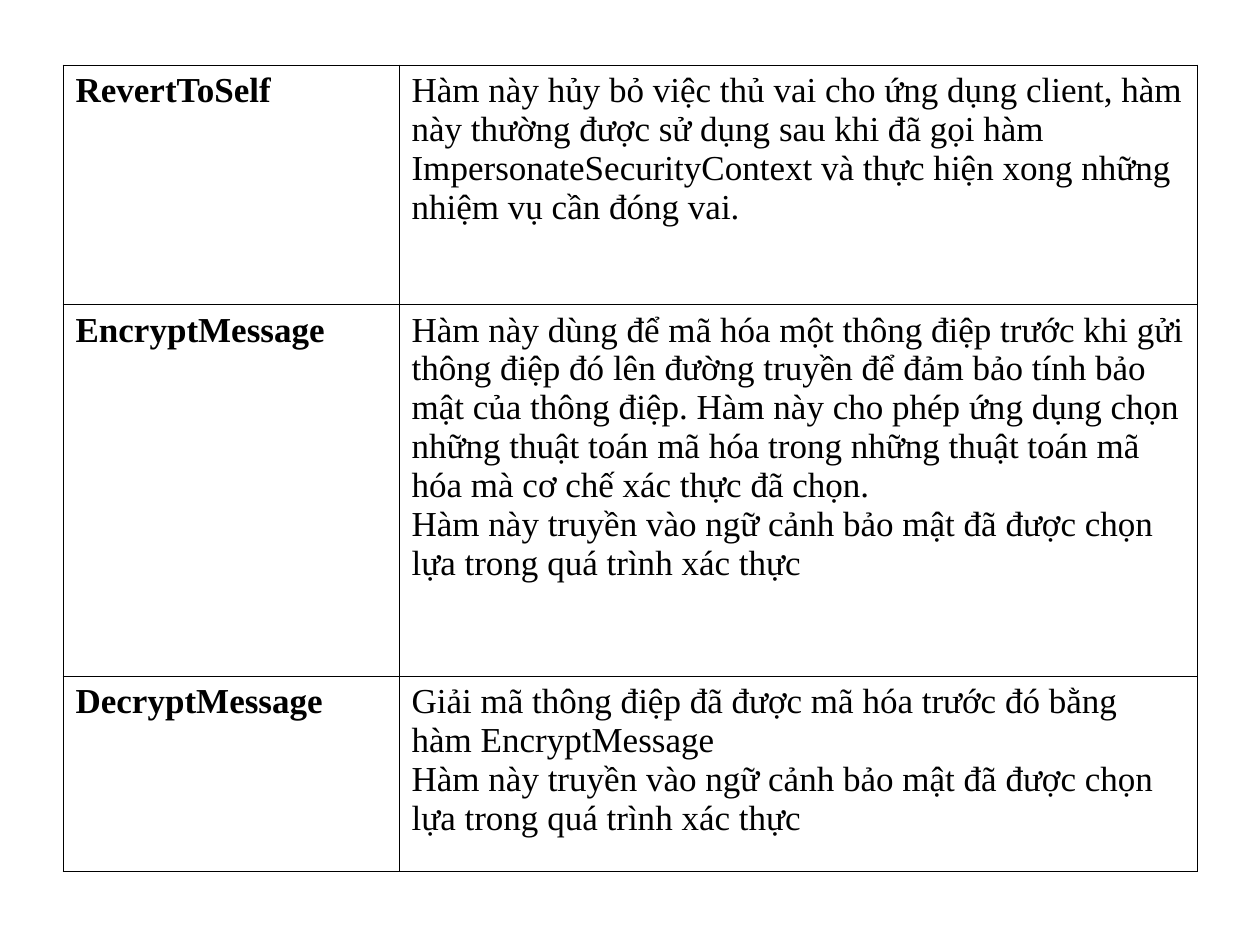
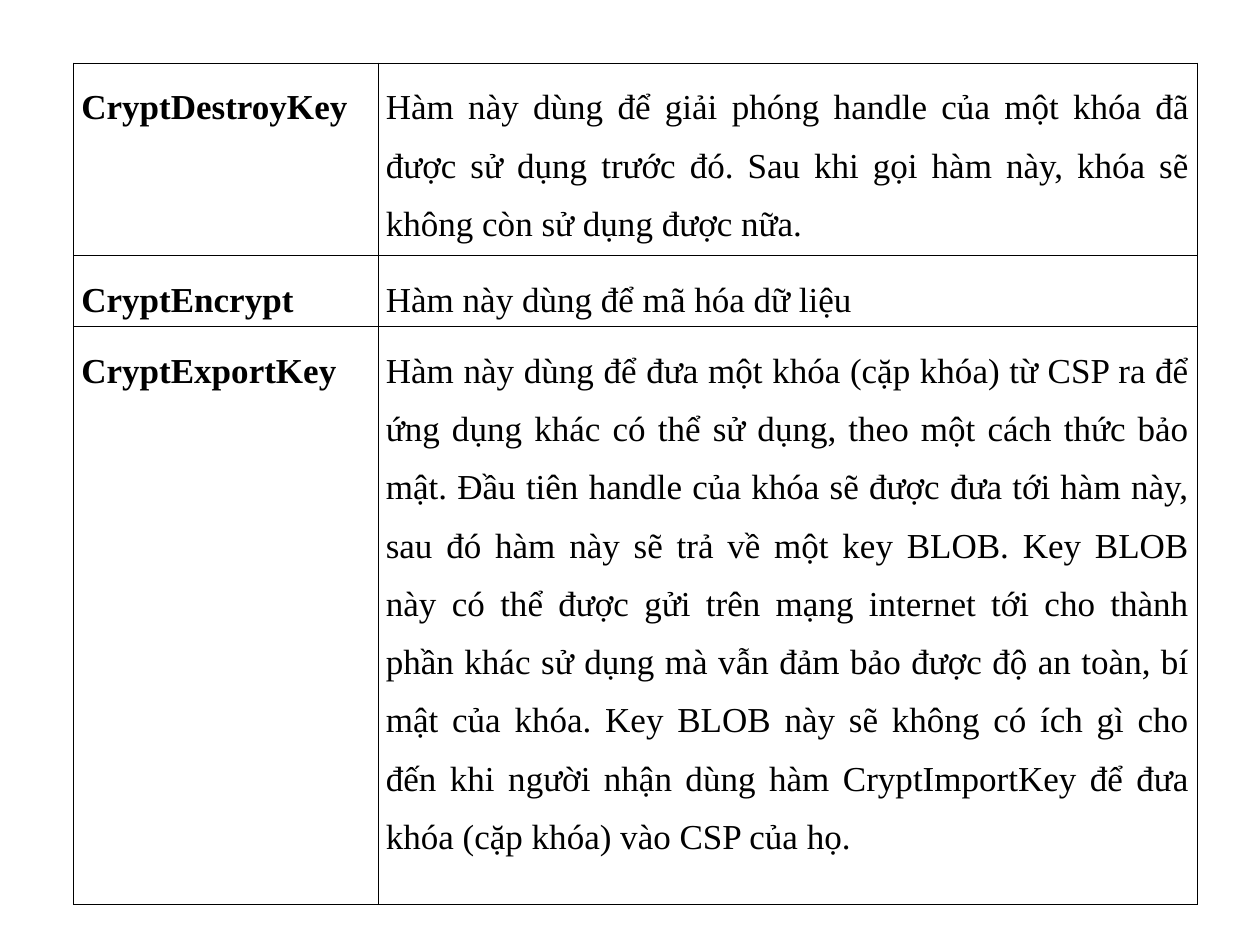
"""Build two slides of tables that describe security functions, with tone marks as combining letters."""
import pptx
import pptx.dml.color
import pptx.enum.text
import pptx.oxml
import pptx.oxml.ns
import pptx.util

Pt = pptx.util.Pt
ALIGN = pptx.enum.text.PP_ALIGN
BLACK = pptx.dml.color.RGBColor(0, 0, 0)
FONT = {"name": "Times New Roman", "size": Pt(20)}
EDGE = 0.45

VOWELS = "a ă â e ê i o ô ơ u ư y"
TONES = {
    0x300: "à ằ ầ è ề ì ò ồ ờ ù ừ ỳ",
    0x301: "á ắ ấ é ế í ó ố ớ ú ứ ý",
    0x303: "ã ẵ ẫ ẽ ễ ĩ õ ỗ ỡ ũ ữ ỹ",
    0x309: "ả ẳ ẩ ẻ ể ỉ ỏ ổ ở ủ ử ỷ",
    0x323: "ạ ặ ậ ẹ ệ ị ọ ộ ợ ụ ự ỵ",
}

CONTEXT = "Hàm này truyền vào ngữ cảnh bảo mật đã được chọn lựa trong quá trình xác thực"

PAGES = [
    {
        "left": 36, "top": 37.2, "cols": [192, 456], "inset": 7.2,
        "para": {}, "align": ALIGN.LEFT,
        "rows": [
            (136.8, "RevertToSelf", [
                "Hàm này hủy bỏ việc thủ vai cho ứng dụng client, hàm này thường được "
                "sử dụng sau khi đã gọi hàm ImpersonateSecurityContext và thực hiện "
                "xong những nhiệm vụ cần đóng vai."]),
            (212.4, "EncryptMessage", [
                "Hàm này dùng để mã hóa một thông điệp trước khi gửi thông điệp đó lên "
                "đường truyền để đảm bảo tính bảo mật của thông điệp. Hàm này cho phép "
                "ứng dụng chọn những thuật toán mã hóa trong những thuật toán mã hóa "
                "mà cơ chế xác thực đã chọn.",
                CONTEXT]),
            (111.6, "DecryptMessage", [
                "Giải mã thông điệp đã được mã hóa trước đó bằng hàm EncryptMessage",
                CONTEXT]),
        ],
    },
    {
        "left": 42, "top": 36, "cols": [174, 468], "inset": 4.5,
        "para": {"line_spacing": 1.5, "space_after": Pt(10)}, "align": ALIGN.JUSTIFY,
        "rows": [
            (110, "CryptDestroyKey", [
                "Hàm này dùng để giải phóng handle của một khóa đã được sử dụng trước "
                "đó. Sau khi gọi hàm này, khóa sẽ không còn sử dụng được nữa."]),
            (36, "CryptEncrypt", ["Hàm này dùng để mã hóa dữ liệu"]),
            (330.5, "CryptExportKey", [
                "Hàm này dùng để đưa một khóa (cặp khóa) từ CSP ra để ứng dụng khác có "
                "thể sử dụng, theo một cách thức bảo mật. Đầu tiên handle của khóa sẽ "
                "được đưa tới hàm này, sau đó hàm này sẽ trả về một key BLOB. Key BLOB "
                "này có thể được gửi trên mạng internet tới cho thành phần khác sử "
                "dụng mà vẫn đảm bảo được độ an toàn, bí mật của khóa. Key BLOB này sẽ "
                "không có ích gì cho đến khi người nhận dùng hàm CryptImportKey để đưa "
                "khóa (cặp khóa) vào CSP của họ."]),
        ],
    },
]


def split_tones(text):
    for tone, letters in TONES.items():
        for vowel, letter in zip(VOWELS.split(), letters.split()):
            text = text.replace(letter, vowel + chr(tone))
    return text


def assign(target, values):
    for name, value in values.items():
        setattr(target, name, value)


def frame(cell):
    props = cell._tc.get_or_add_tcPr()
    for spot, side in enumerate("LRTB"):
        line = pptx.oxml.parse_xml(
            f'<a:ln{side} {pptx.oxml.ns.nsdecls("a")} w="{int(Pt(EDGE))}">'
            f'<a:solidFill><a:srgbClr val="{BLACK}"/></a:solidFill></a:ln{side}>')
        props.insert(spot, line)


def write(cell, lines, page, bold, align):
    inset = Pt(page["inset"])
    assign(cell, {"margin_left": inset, "margin_right": inset,
                  "margin_top": Pt(3.6), "margin_bottom": Pt(3.6)})
    cell.fill.background()
    frame(cell)
    cell.text = split_tones("\n".join(lines))
    for para in cell.text_frame.paragraphs:
        assign(para, {**page["para"], "alignment": align})
        for run in para.runs:
            assign(run.font, {**FONT, "bold": bold})
            run.font.color.rgb = BLACK


def add_page(deck, page):
    slide = deck.slides.add_slide(deck.slide_layouts[6])
    cols, rows = page["cols"], page["rows"]
    width, height = sum(cols), sum(row[0] for row in rows)
    table = slide.shapes.add_table(
        len(rows), len(cols), Pt(page["left"]), Pt(page["top"]),
        Pt(width), Pt(height)).table
    assign(table, {"first_row": False, "horz_banding": False})
    for col, size in zip(table.columns, cols):
        col.width = Pt(size)
    for row, (size, name, lines) in zip(table.rows, rows):
        row.height = Pt(size)
        write(row.cells[0], [name], page, True, ALIGN.LEFT)
        write(row.cells[1], lines, page, False, page["align"])


def main():
    deck = pptx.Presentation()
    assign(deck, {"slide_width": Pt(720), "slide_height": Pt(540)})
    for page in PAGES:
        add_page(deck, page)
    deck.save("out.pptx")


if __name__ == "__main__":
    main()
